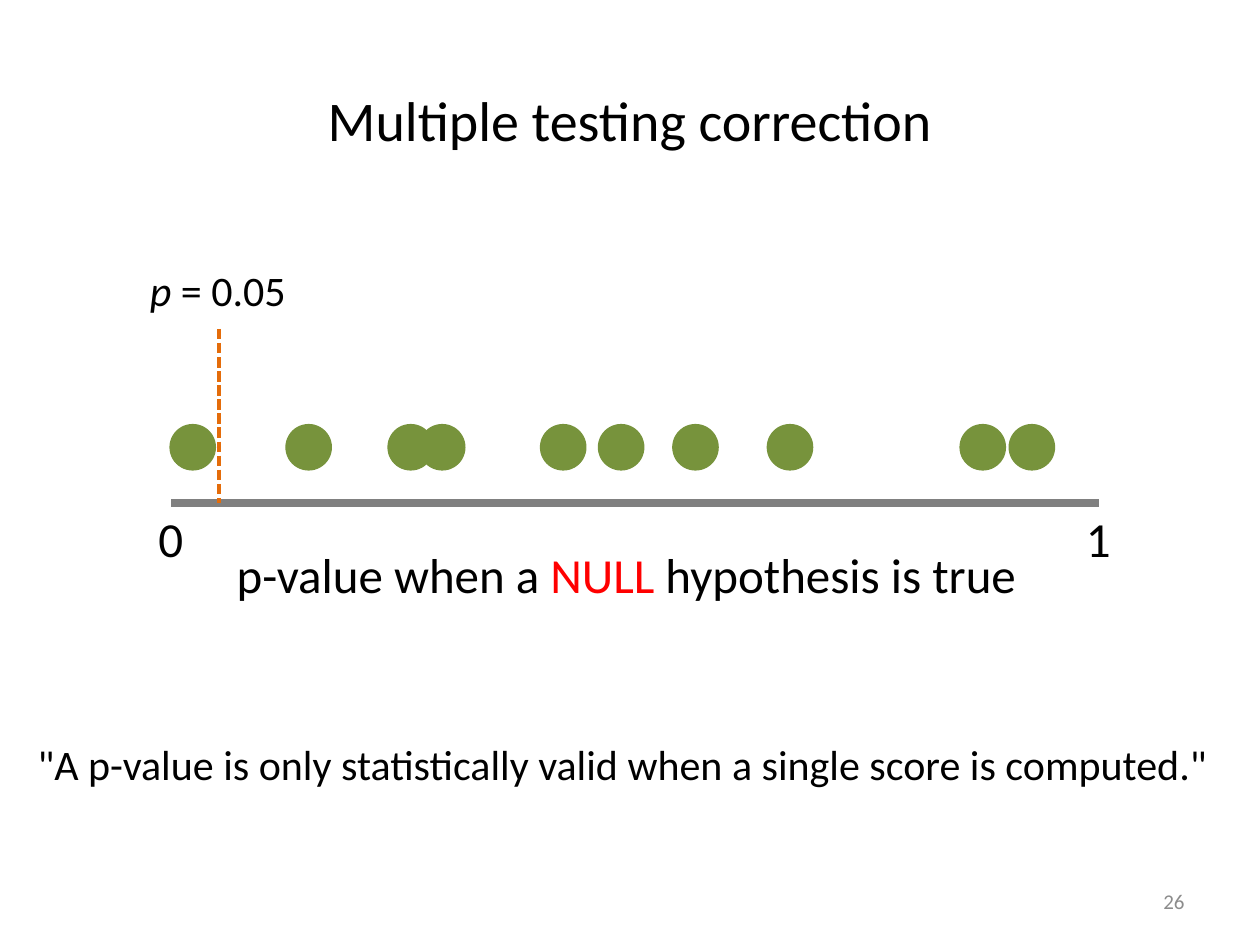
from dataclasses import dataclass

from lxml import etree
from pptx import Presentation
from pptx import util as u
from pptx.dml.color import RGBColor
from pptx.enum import dml, shapes, text
from pptx.oxml.ns import qn

BLACK = RGBColor(0x00, 0x00, 0x00)
RED = RGBColor(0xFF, 0x00, 0x00)
GREEN = RGBColor(0x77, 0x93, 0x3C)
ORANGE = RGBColor(0xE4, 0x6C, 0x0A)
AXIS_GRAY = RGBColor(0x80, 0x80, 0x80)
NUMBER_GRAY = RGBColor(0x8C, 0x8C, 0x8C)

AXIS_LEFT, AXIS_RIGHT, AXIS_Y = 1.36, 8.72, 3.99
THRESHOLD_X, THRESHOLD_TOP = 1.74, 2.61
DOT_SIZE, DOT_TOP = 0.36, 3.37
DOT_LEFTS = (1.35, 2.27, 3.08, 3.33, 4.29, 4.75, 5.34, 6.09, 7.62, 8.01)


@dataclass(frozen=True)
class Span:
    words: str
    color: RGBColor = BLACK
    italic: bool = False


@dataclass(frozen=True)
class Label:
    left: float
    top: float
    width: float
    height: float
    size: int
    spans: tuple[Span, ...]
    align: text.PP_ALIGN = text.PP_ALIGN.LEFT
    anchor: text.MSO_ANCHOR = text.MSO_ANCHOR.TOP
    wrap: bool = False


def end_label(x: float, words: str) -> Label:
    """Describe a number centred below one end of the axis."""
    return Label(x - 0.2, AXIS_Y, 0.4, 0.57, 28, (Span(words),))


LABELS = (
    Label(0.5, 0.45, 9, 0.99, 32, (Span("Multiple testing correction"),),
          text.PP_ALIGN.CENTER, text.MSO_ANCHOR.MIDDLE, True),
    Label(1.09, 2.05, 1.31, 0.5, 24, (Span("p", italic=True), Span(" = 0.05"))),
    end_label(AXIS_LEFT, "0"),
    end_label(AXIS_RIGHT, "1"),
    Label(1.78, 4.27, 6.63, 0.57, 28,
          (Span("p-value when a "), Span("NULL", RED), Span(" hypothesis is true"))),
    Label(0.2, 5.81, 9.62, 0.5, 24,
          (Span('"A p-value is only statistically valid when a single score is computed."'),)),
    Label(7.17, 6.95, 2.33, 0.4, 12, (Span("26", NUMBER_GRAY),),
          text.PP_ALIGN.RIGHT, text.MSO_ANCHOR.MIDDLE, True),
)


def draw_label(page, label: Label) -> None:
    box = page.shapes.add_textbox(*map(u.Inches, (label.left, label.top, label.width, label.height)))
    frame = box.text_frame
    frame.word_wrap = label.wrap
    frame.vertical_anchor = label.anchor
    para = frame.paragraphs[0]
    para.alignment = label.align
    for span in label.spans:
        run = para.add_run()
        run.text = span.words
        run.font.color.rgb = span.color
        font_format = {"name": "Calibri", "size": u.Pt(label.size), "italic": span.italic}
        for name, value in font_format.items():
            setattr(run.font, name, value)


def draw_line(page, start: tuple[float, float], end: tuple[float, float],
              color: RGBColor, width: float, dash=None) -> None:
    line = page.shapes.add_connector(shapes.MSO_CONNECTOR.STRAIGHT, *map(u.Inches, start + end))
    line.line.color.rgb = color
    for name, value in {"width": u.Pt(width), "dash_style": dash}.items():
        setattr(line.line, name, value)
    etree.SubElement(line._element.spPr, qn("a:effectLst"))


def draw_dot(page, left: float) -> None:
    dot = page.shapes.add_shape(shapes.MSO_SHAPE.OVAL,
                                *map(u.Inches, (left, DOT_TOP, DOT_SIZE, DOT_SIZE)))
    dot.shadow.inherit = False
    dot.fill.solid()
    dot.fill.fore_color.rgb = GREEN
    dot.line.color.rgb = GREEN
    dot.line.width = u.Pt(0.75)


def main() -> None:
    deck = Presentation()
    deck.slide_width, deck.slide_height = u.Inches(10), u.Inches(7.5)
    page = deck.slides.add_slide(deck.slide_layouts[6])

    draw_line(page, (AXIS_LEFT, AXIS_Y), (AXIS_RIGHT, AXIS_Y), AXIS_GRAY, 4.5)
    for left in DOT_LEFTS:
        draw_dot(page, left)
    draw_line(page, (THRESHOLD_X, THRESHOLD_TOP), (THRESHOLD_X, AXIS_Y),
              ORANGE, 2, dml.MSO_LINE.SQUARE_DOT)
    for label in LABELS:
        draw_label(page, label)

    deck.save("out.pptx")


if __name__ == "__main__":
    main()
